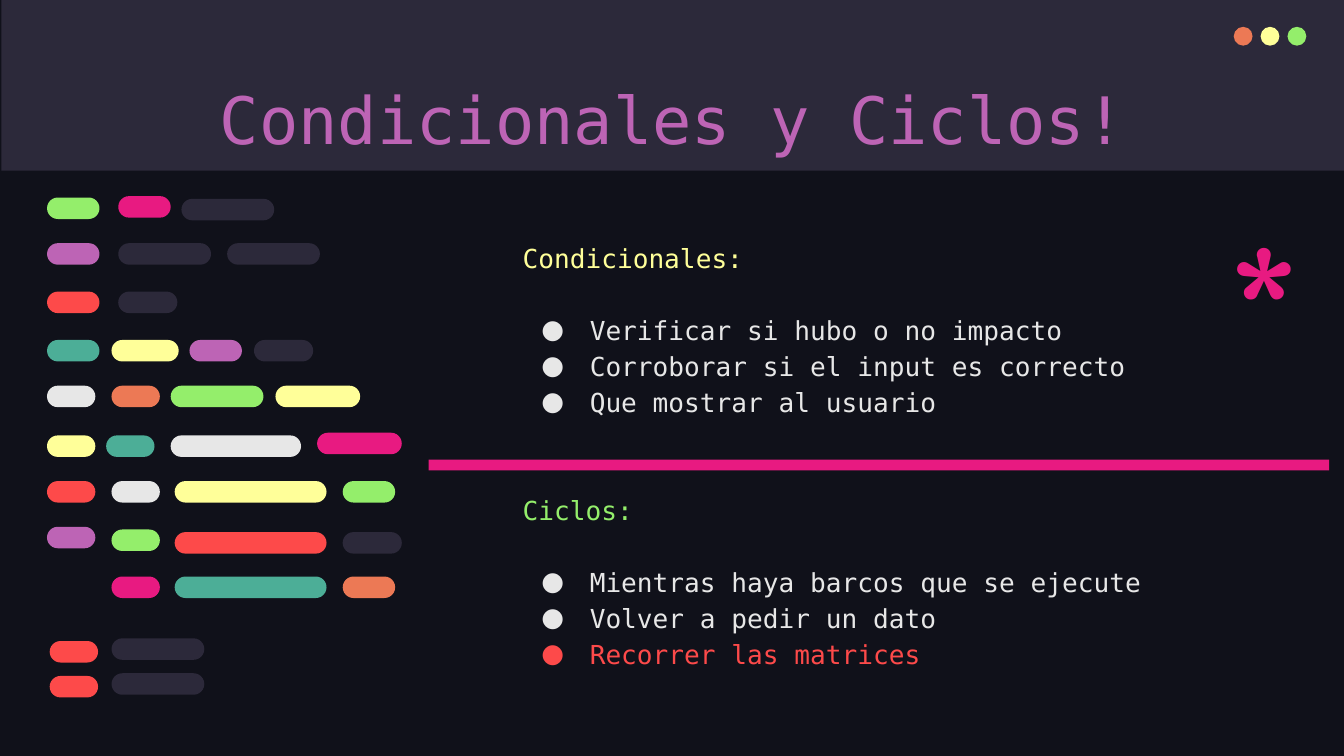
from lxml import etree
from pptx import Presentation
from pptx.dml.color import RGBColor
from pptx.enum.shapes import MSO_SHAPE as Shape
from pptx.enum.text import MSO_ANCHOR as Anchor, PP_ALIGN as Align
from pptx.oxml.ns import qn
from pptx.util import Inches, Pt

COLORS = {
    "background": "10111A", "panel": "2C293A", "orange": "EC7955",
    "yellow": "FFFF99", "green": "94EE6B", "purple": "BD64B5",
    "pink": "E81A81", "red": "FD4A4A", "teal": "4CAE97", "white": "E7E7E7",
}
MONO = "DejaVu Sans Mono"
ROUNDED = "Comfortaa"
SLIDE_WIDTH = 10
SLIDE_HEIGHT = SLIDE_WIDTH * 9 / 16
PILL_HEIGHT = 0.16

# Each row: top, then (left, width, color[, vertical offset]) for its pills
CODE_ROWS = [
    (0.01, [(0, 0.39, "green"), (0.53, 0.39, "pink", -0.01), (1, 0.69, "panel", 0.01)]),
    (0.35, [(0, 0.39, "purple"), (0.53, 0.69, "panel"), (1.34, 0.69, "panel")]),
    (0.71, [(0, 0.39, "red"), (0.53, 0.44, "panel")]),
    (1.07, [(0, 0.39, "teal"), (0.48, 0.5, "yellow"), (1.06, 0.39, "purple"),
            (1.54, 0.44, "panel")]),
    (1.41, [(0, 0.36, "white"), (0.48, 0.36, "orange"), (0.92, 0.69, "green"),
            (1.7, 0.63, "yellow")]),
    (1.78, [(0, 0.36, "yellow"), (0.44, 0.36, "teal"), (0.92, 0.97, "white"),
            (2.01, 0.63, "pink", -0.02)]),
    (2.12, [(0, 0.36, "red"), (0.48, 0.36, "white"), (0.95, 1.13, "yellow"),
            (2.2, 0.39, "green")]),
    (2.46, [(0, 0.36, "purple"), (0.48, 0.36, "green", 0.02), (0.95, 1.13, "red", 0.04),
            (2.2, 0.44, "panel", 0.04)]),
    (2.83, [(0.48, 0.36, "pink"), (0.95, 1.13, "teal"), (2.2, 0.39, "orange")]),
    (3.31, [(0.02, 0.36, "red"), (0.48, 0.69, "panel", -0.02)]),
    (3.57, [(0.02, 0.36, "red"), (0.48, 0.69, "panel", -0.02)]),
]


def rgb(name):
    return RGBColor.from_string(COLORS[name])


def add_block(slide, kind, left, top, width, height, color):
    shape = slide.shapes.add_shape(
        kind, Inches(left), Inches(top), Inches(width), Inches(height))
    shape.shadow.inherit = False
    shape.fill.solid()
    shape.fill.fore_color.rgb = rgb(color)
    shape.line.fill.background()
    return shape


def add_frame(slide, left, top, width, height):
    """Add an empty text box and return its text frame."""
    box = slide.shapes.add_textbox(
        Inches(left), Inches(top), Inches(width), Inches(height))
    frame = box.text_frame
    frame.word_wrap = True
    frame.vertical_anchor = Anchor.TOP
    frame.margin_left = frame.margin_right = Inches(0.1)
    frame.margin_top = frame.margin_bottom = Inches(0.1)
    return frame


def write(paragraph, text, size=14, color="white", font=MONO, align=Align.LEFT,
          line_spacing=None, space_before=0, space_after=0, bullet=False):
    paragraph.alignment = align
    paragraph.line_spacing = line_spacing
    paragraph.space_before = Pt(space_before)
    paragraph.space_after = Pt(space_after)
    run = paragraph.add_run()
    run.text = text
    run.font.name = font
    run.font.size = Pt(size)
    run.font.color.rgb = rgb(color)
    if bullet:
        add_bullet(paragraph, color)


def add_bullet(paragraph, color):
    properties = paragraph._p.get_or_add_pPr()
    properties.set("marL", str(Inches(0.5)))
    properties.set("indent", str(Inches(-0.36)))
    bullet_color = etree.SubElement(properties, qn("a:buClr"))
    etree.SubElement(bullet_color, qn("a:srgbClr"), val=COLORS[color])
    etree.SubElement(properties, qn("a:buFont"), typeface=ROUNDED)
    etree.SubElement(properties, qn("a:buChar"), char="●")


def add_header(slide, left, top, width, height):
    add_block(slide, Shape.RECTANGLE, left, top, width, height, "panel")
    for index, color in enumerate(["orange", "yellow", "green"]):
        add_block(slide, Shape.OVAL, left + 9.17 + index * 0.2, top + 0.2,
                  0.14, 0.14, color)
    title = add_frame(slide, left + 0.78, top + 0.49, 8.43, 0.63)
    write(title.paragraphs[0], "Condicionales y Ciclos!", size=35,
          color="purple", align=Align.CENTER)


def add_code_pattern(slide, left, top):
    for row_top, pills in CODE_ROWS:
        for pill_left, width, color, *offset in pills:
            pill = add_block(slide, Shape.ROUNDED_RECTANGLE, left + pill_left,
                             top + row_top + sum(offset), width, PILL_HEIGHT, color)
            pill.adjustments[0] = 0.5


def add_topics(slide, left, top, width, height, topics):
    """Write every topic as a heading with bullets, in one text box."""
    frame = add_frame(slide, left, top, width, height)
    paragraph = frame.paragraphs[0]
    for index, (heading, heading_color, items) in enumerate(topics):
        if index:
            paragraph = frame.add_paragraph()
        write(paragraph, heading, color=heading_color, line_spacing=1.15,
              space_before=38.6 if index else 0, space_after=19.3)
        for text, color in items:
            write(frame.add_paragraph(), text, color=color,
                  line_spacing=1.15, bullet=True)


def main():
    presentation = Presentation()
    presentation.slide_width = Inches(SLIDE_WIDTH)
    presentation.slide_height = Inches(SLIDE_HEIGHT)
    slide = presentation.slides.add_slide(presentation.slide_layouts[6])
    slide.background.fill.solid()
    slide.background.fill.fore_color.rgb = rgb("background")

    add_header(slide, 0.01, 0, SLIDE_WIDTH, 1.27)
    add_topics(slide, 3.79, 1.67, 5.43, 3.36, [
        ("Condicionales:", "yellow", [
            ("Verificar si hubo o no impacto", "white"),
            ("Corroborar si el input es correcto", "white"),
            ("Que mostrar al usuario", "white"),
        ]),
        ("Ciclos:", "green", [
            ("Mientras haya barcos que se ejecute", "white"),
            ("Volver a pedir un dato", "white"),
            ("Recorrer las matrices", "red"),
        ]),
    ])
    add_code_pattern(slide, 0.35, 1.46)
    asterisk = add_frame(slide, 9.05, 1.46, 0.57, 0.87)
    write(asterisk.paragraphs[0], "*", size=96, color="pink", font=ROUNDED)
    add_block(slide, Shape.RECTANGLE, 3.19, 3.42, 6.7, 0.08, "pink")
    presentation.save("out.pptx")


if __name__ == "__main__":
    main()
